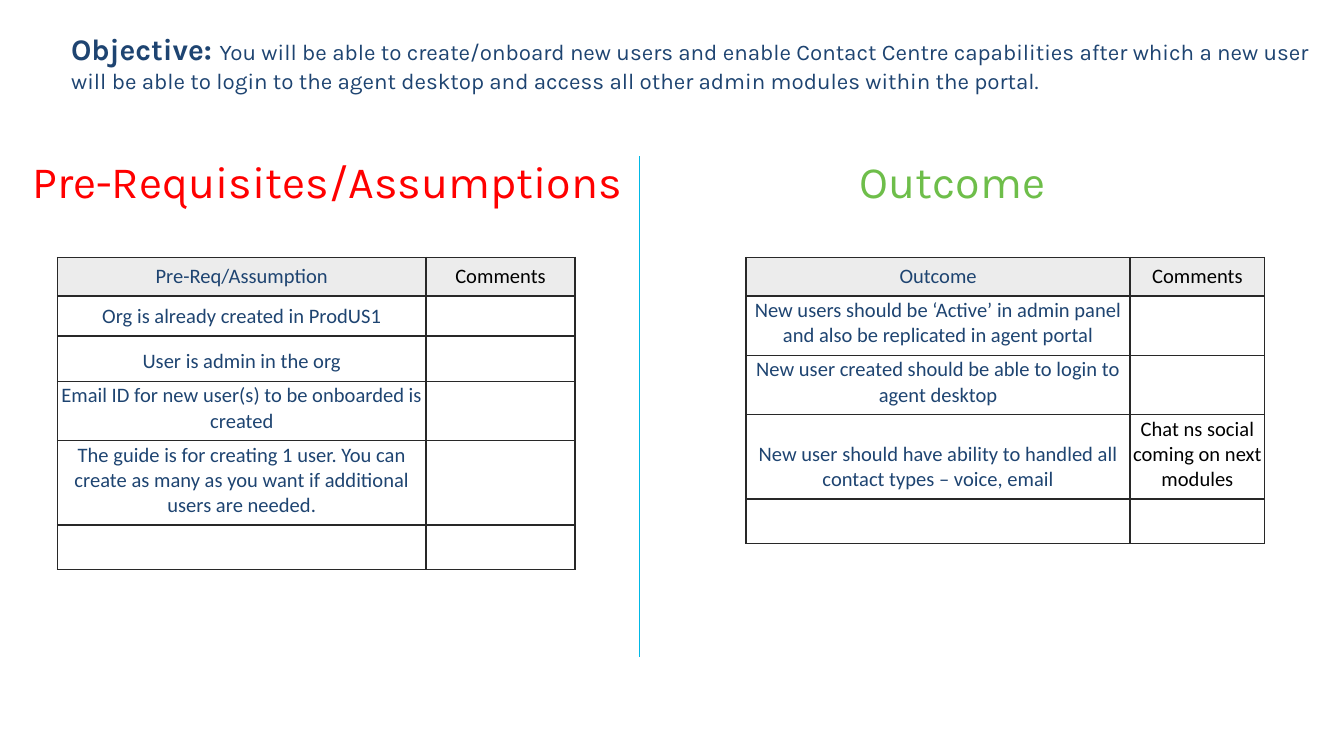
from dataclasses import dataclass

from lxml.etree import SubElement
from pptx import Presentation
from pptx.dml.color import RGBColor as RGB
from pptx.enum.shapes import MSO_CONNECTOR as CONN
from pptx.enum.text import MSO_ANCHOR as ANCHOR, MSO_AUTO_SIZE as FIT, PP_ALIGN as ALIGN
from pptx.oxml.ns import qn
from pptx.util import Cm, Pt


@dataclass(frozen=True)
class Theme:
    navy: str = "1E4471"
    black: str = "000000"
    red: str = "FF0000"
    green: str = "6EBE4A"
    cyan: str = "00B8E6"
    border: str = "282828"
    header: str = "ECECEC"
    white: str = "FFFFFF"
    display: str = "Karla"
    body: str = "Calibri"
    heading_size: int = 24
    label_size: int = 16
    text_size: int = 12
    cell_size: int = 11


T = Theme()

PREREQS = [
    ("Pre-Req/Assumption", "Comments"),
    ("Org is already created in ProdUS1", ""),
    ("User is admin in the org", ""),
    ("Email ID for new user(s) to be onboarded is created", ""),
    ("The guide is for creating 1 user. You can create as many as you want "
     "if additional users are needed.", ""),
    ("", ""),
]
OUTCOMES = [
    ("Outcome", "Comments"),
    ("New users should be ‘Active’ in admin panel and also be replicated in agent portal", ""),
    ("New user created should be able to login to agent desktop", ""),
    ("New user should have ability to handled all contact types – voice, email",
     "Chat ns social coming on next modules"),
    ("", ""),
]


def add_run(p, text, size, color, font=T.display, bold=False):
    """Append one formatted run to a paragraph."""
    r = p.add_run()
    r.text = text
    r.font.size, r.font.name, r.font.bold = Pt(size), font, bold
    r.font.color.rgb = RGB.from_string(color)


def set_objective(s):
    """Place the objective statement in the title placeholder."""
    sp = s.shapes.title
    sp.left, sp.top, sp.width, sp.height = Cm(1.09), Cm(0.46), Cm(24.05), Cm(1.45)
    tf = sp.text_frame
    tf.word_wrap, tf.auto_size, tf.vertical_anchor = True, FIT.NONE, ANCHOR.TOP
    p = tf.paragraphs[0]
    p.alignment = ALIGN.LEFT
    add_run(p, "Objective: ", T.label_size, T.navy, bold=True)
    add_run(p, "You will be able to create/onboard new users and enable Contact Centre "
               "capabilities after which a new user will be able to login to the agent desktop "
               "and access all other admin modules within the portal.", T.text_size, T.navy)


def add_heading(s, text, left, width, color):
    """Add a column heading."""
    tf = s.shapes.add_textbox(Cm(left), Cm(2.79), Cm(width), Cm(1.27)).text_frame
    tf.word_wrap = True
    add_run(tf.paragraphs[0], text, T.heading_size, color)


def add_divider(s):
    """Add the vertical rule between the two columns."""
    line = s.shapes.add_connector(CONN.STRAIGHT, Cm(12.09), Cm(2.95), Cm(12.09), Cm(12.42))
    line.line.color.rgb = RGB.from_string(T.cyan)
    line.line.width = Pt(0.75)
    SubElement(line._element.spPr, qn("a:effectLst"))


def set_borders(cell):
    """Draw a thin line on all four sides of a cell."""
    tc_pr = cell._tc.get_or_add_tcPr()
    for side in "LRTB":
        ln = SubElement(tc_pr, qn(f"a:ln{side}"), w=str(Pt(1)))
        fill = SubElement(ln, qn("a:solidFill"))
        SubElement(fill, qn("a:srgbClr"), val=T.border)


def fill_cell(cell, text, color, background):
    """Write and format one table cell."""
    set_borders(cell)
    cell.fill.solid()
    cell.fill.fore_color.rgb = RGB.from_string(background)
    cell.margin_left = cell.margin_right = cell.margin_top = Cm(0.03)
    cell.margin_bottom = Cm(0.13)
    cell.vertical_anchor = ANCHOR.BOTTOM
    p = cell.text_frame.paragraphs[0]
    p.alignment = ALIGN.CENTER
    if text:
        add_run(p, text, T.cell_size, color, T.body)
    else:
        SubElement(p._p, qn("a:endParaRPr"), sz=str(T.cell_size * 100))


def add_grid(s, rows, left, top, widths, heights):
    """Add a two-column table with a grey header row."""
    frame = s.shapes.add_table(len(rows), len(widths), Cm(left), Cm(top),
                               Cm(sum(widths)), Cm(sum(heights)))
    table = frame.table
    table.first_row = table.horz_banding = False
    for column, width in zip(table.columns, widths):
        column.width = Cm(width)
    for i, (row, height) in enumerate(zip(rows, heights)):
        table.rows[i].height = Cm(height)
        background = T.white if i else T.header
        for j, (text, color) in enumerate(zip(row, (T.navy, T.black))):
            fill_cell(table.cell(i, j), text, color, background)


def main():
    """Build and save the slide."""
    prs = Presentation()
    prs.slide_width, prs.slide_height = Cm(25.4), Cm(14.29)
    s = prs.slides.add_slide(prs.slide_layouts[5])
    set_objective(s)
    add_grid(s, PREREQS, 1.09, 4.87, (6.96, 2.82), (0.73, 0.75, 0.86, 0.86, 0.8, 0.84))
    add_grid(s, OUTCOMES, 14.1, 4.87, (7.26, 2.54), (0.73, 0.73, 0.73, 0.86, 0.84))
    add_divider(s)
    add_heading(s, "Pre-Requisites/Assumptions", 0.36, 11.76, T.red)
    add_heading(s, "Outcome", 16, 5.36, T.green)
    prs.save("out.pptx")


if __name__ == "__main__":
    main()
